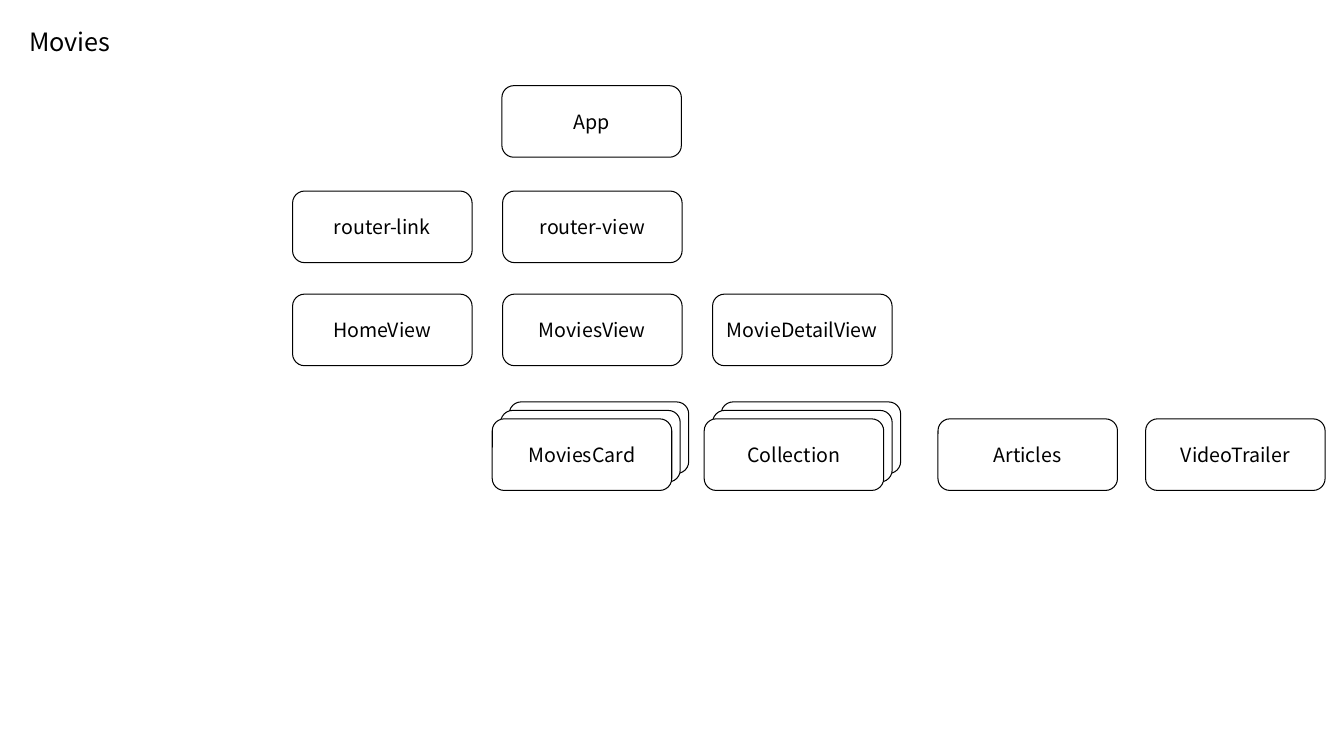
from pptx import Presentation
from pptx.dml.color import RGBColor
from pptx.enum import shapes, text
from pptx.util import Pt

COLORS = {"ink": "000000", "paper": "FFFFFF"}
FONT = "Noto Sans CJK KR"
CARD_WIDTH, CARD_HEIGHT = 128.2, 51.1
STACK_STEP = 6.05
FRAME = {"word_wrap": True, "vertical_anchor": text.MSO_ANCHOR.MIDDLE,
         "margin_left": Pt(3.6), "margin_right": Pt(3.6)}
HEADING = {"word_wrap": True, "vertical_anchor": text.MSO_ANCHOR.TOP,
           "auto_size": text.MSO_AUTO_SIZE.NONE}


def write(shape, wording, size, alignment, frame_format):
    frame = shape.text_frame
    for name, value in frame_format.items():
        setattr(frame, name, value)
    frame.text = wording
    paragraph = frame.paragraphs[0]
    paragraph.alignment = alignment
    font = paragraph.runs[0].font
    for name, value in {"name": FONT, "size": Pt(size)}.items():
        setattr(font, name, value)
    font.color.rgb = RGBColor.from_string(COLORS["ink"])


def add_card(parent, left, top):
    card = parent.add_shape(shapes.MSO_SHAPE.ROUNDED_RECTANGLE,
                            Pt(left), Pt(top), Pt(CARD_WIDTH), Pt(CARD_HEIGHT))
    card.shadow.inherit = False
    card.fill.solid()
    card.fill.fore_color.rgb = RGBColor.from_string(COLORS["paper"])
    card.line.color.rgb = RGBColor.from_string(COLORS["ink"])
    card.line.width = Pt(0.75)
    return card


deck = Presentation()
deck.slide_width, deck.slide_height = Pt(960), Pt(540)
slide = deck.slides.add_slide(deck.slide_layouts[5])

heading = slide.shapes.title
for name, value in {"left": 13.7, "top": 15.1, "width": 215.3, "height": 28.8}.items():
    setattr(heading, name, Pt(value))
write(heading, "Movies", 18, text.PP_ALIGN.LEFT, HEADING)

component_rows = [
    (61.2, [("App", 358.5, 1)]),
    (136.5, [("router-link", 209, 1), ("router-view", 359, 1)]),
    (210.1, [("HomeView", 209, 1), ("MoviesView", 359, 1), ("MovieDetailView", 509, 1)]),
    (299.2, [("MoviesCard", 351.6, 3), ("Collection", 503, 3),
             ("Articles", 670, 1), ("VideoTrailer", 818.3, 1)]),
]

for top, components in component_rows:
    for component, left, layers in components:
        parent = slide.shapes.add_group_shape().shapes if layers > 1 else slide.shapes
        for depth in reversed(range(layers)):
            card = add_card(parent, left + depth * STACK_STEP, top - depth * STACK_STEP)
        write(card, component, 14, text.PP_ALIGN.CENTER, FRAME)

deck.save("out.pptx")
